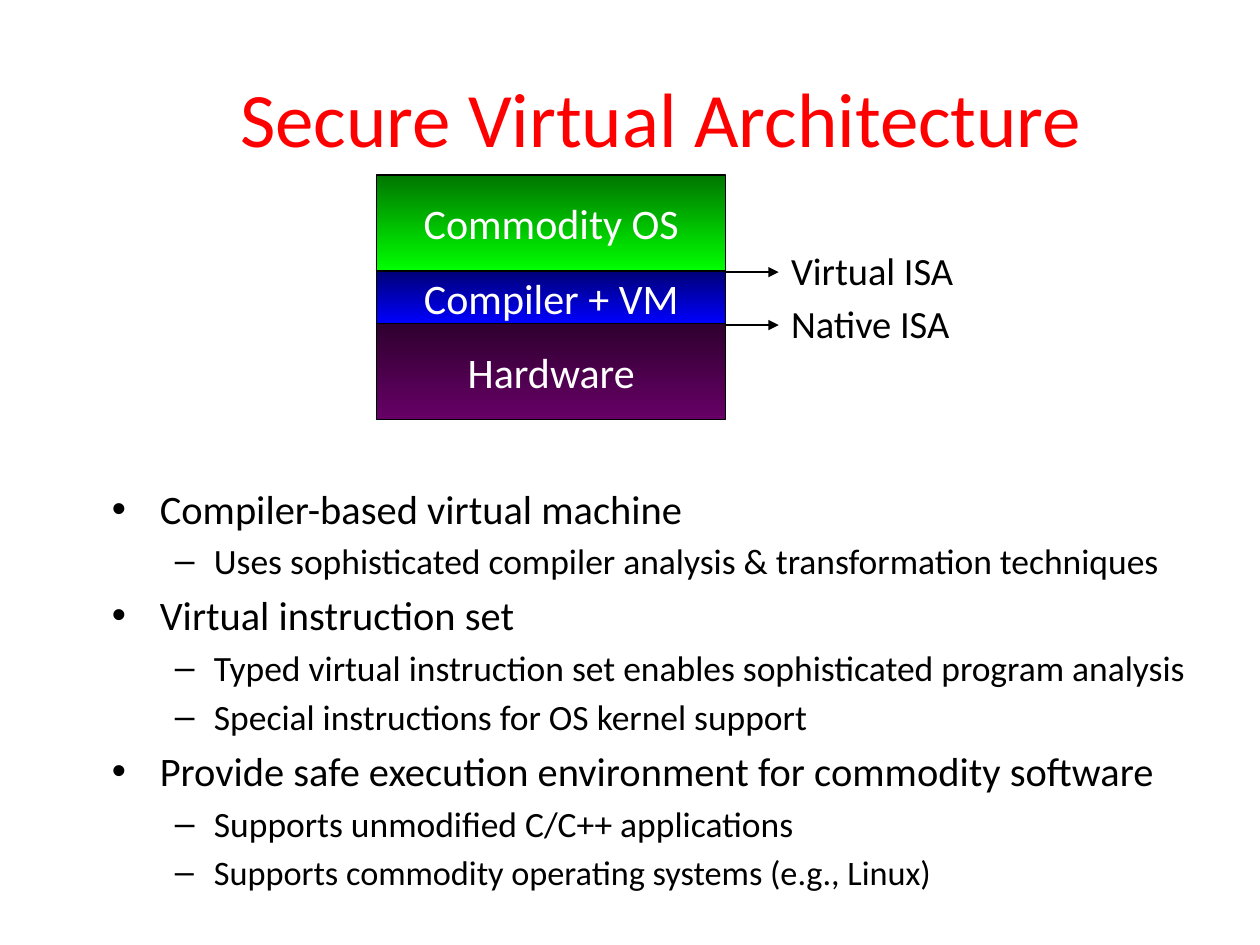
from lxml.etree import SubElement
from pptx import Presentation
from pptx.dml.color import RGBColor
from pptx.enum.shapes import MSO_CONNECTOR, MSO_SHAPE
from pptx.enum.text import MSO_ANCHOR, MSO_AUTO_SIZE, PP_ALIGN
from pptx.oxml.ns import qn
from pptx.util import Inches, Pt

TITLE = "Secure Virtual Architecture"
# Layer name, height, gradient top, gradient bottom
LAYERS = [
    ("Commodity OS", 0.76, "007600", "00FF00"),
    ("Compiler + VM", 0.42, "000076", "0000FF"),
    ("Hardware", 0.76, "2F002F", "660066"),
]
# Interface below each layer but the last
INTERFACES = ["Virtual ISA", "Native ISA"]
# Level, size, text
POINTS = [
    (0, 23.1, "Compiler-based virtual machine"),
    (1, 20.3, "Uses sophisticated compiler analysis & transformation techniques"),
    (0, 23.1, "Virtual instruction set"),
    (1, 20.3, "Typed virtual instruction set enables sophisticated program analysis"),
    (1, 20.3, "Special instructions for OS kernel support"),
    (0, 23.1, "Provide safe execution environment for commodity software"),
    (1, 20.3, "Supports unmodified C/C++ applications"),
    (1, 19.6, "Supports commodity operating systems (e.g., Linux)"),
]
# Bullet, left margin, hanging indent for each level
LEVELS = [("•", 0.38, 0.38), ("–", 0.81, 0.31)]
STACK_LEFT, STACK_TOP, STACK_WIDTH = 2.99, 1.39, 2.77
ARROW_LENGTH, ARROW_DROP = 0.42, 0.01
LABEL_WIDTH, LABEL_HEIGHT = 1.64, 0.47


def color(value):
    return RGBColor.from_string(value)


def style(paragraph, size, value="000000", align=PP_ALIGN.LEFT):
    paragraph.alignment = align
    paragraph.font.name = "Calibri"
    paragraph.font.size = Pt(size)
    paragraph.font.color.rgb = color(value)


def add_text_box(page, left, top, width, height, wrap=True):
    box = page.shapes.add_textbox(*map(Inches, (left, top, width, height)))
    box.text_frame.word_wrap = wrap
    return box.text_frame


def add_layer(page, top, name, height, start, end):
    box = page.shapes.add_shape(
        MSO_SHAPE.RECTANGLE, *map(Inches, (STACK_LEFT, top, STACK_WIDTH, height)))
    box.shadow.inherit = False
    box.fill.gradient()
    box.fill.gradient_angle = 270
    for stop, value, position in zip(box.fill.gradient_stops, (start, end), (0, 1)):
        stop.color.rgb = color(value)
        stop.position = position
    box.line.color.rgb = color("000000")
    box.line.width = Pt(0.75)
    frame = box.text_frame
    frame.word_wrap = False
    frame.vertical_anchor = MSO_ANCHOR.MIDDLE
    frame.text = name
    style(frame.paragraphs[0], 24, "FFFFFF", PP_ALIGN.CENTER)


def add_interface(page, y, name):
    start = STACK_LEFT + STACK_WIDTH
    end = start + ARROW_LENGTH
    arrow = page.shapes.add_connector(
        MSO_CONNECTOR.STRAIGHT, *map(Inches, (start, y, end, y)))
    arrow.line.color.rgb = color("000000")
    arrow.line.width = Pt(0.75)
    SubElement(arrow.line._get_or_add_ln(), qn("a:tailEnd"), type="triangle")
    SubElement(arrow._element.spPr, qn("a:effectLst"))
    frame = add_text_box(page, end, y - LABEL_HEIGHT / 2 - ARROW_DROP,
                         LABEL_WIDTH, LABEL_HEIGHT, wrap=False)
    frame.auto_size = MSO_AUTO_SIZE.SHAPE_TO_FIT_TEXT
    frame.text = name
    style(frame.paragraphs[0], 22)


def add_points(frame):
    for index, (level, size, text) in enumerate(POINTS):
        para = frame.paragraphs[0] if index == 0 else frame.add_paragraph()
        para.text = text
        para.level = level
        bullet, margin, hanging = LEVELS[level]
        if index:
            para.space_before = Pt(round(size * 0.2, 1))
        properties = para._p.get_or_add_pPr()
        properties.set("marL", str(Inches(margin)))
        properties.set("indent", str(-Inches(hanging)))
        SubElement(properties, qn("a:buFont"), typeface="Arial")
        SubElement(properties, qn("a:buChar"), char=bullet)
        style(para, size)


def main():
    deck = Presentation()
    deck.slide_width, deck.slide_height = Inches(10), Inches(7.5)
    page = deck.slides.add_slide(deck.slide_layouts[6])

    # Title
    frame = add_text_box(page, 1, 0.3, 8.5, 1.25)
    frame.vertical_anchor = MSO_ANCHOR.MIDDLE
    frame.text = TITLE
    style(frame.paragraphs[0], 44, "FF0000", PP_ALIGN.CENTER)

    # Bulleted points
    add_points(add_text_box(page, 0.79, 3.79, 9, 3.5))

    # Stack of layers, with an interface at each inner boundary
    top = STACK_TOP
    boundaries = []
    for name, height, start, end in LAYERS:
        add_layer(page, top, name, height, start, end)
        top += height
        boundaries.append(top)
    for boundary, name in zip(boundaries, INTERFACES):
        add_interface(page, boundary + ARROW_DROP, name)

    deck.save("out.pptx")


if __name__ == "__main__":
    main()
